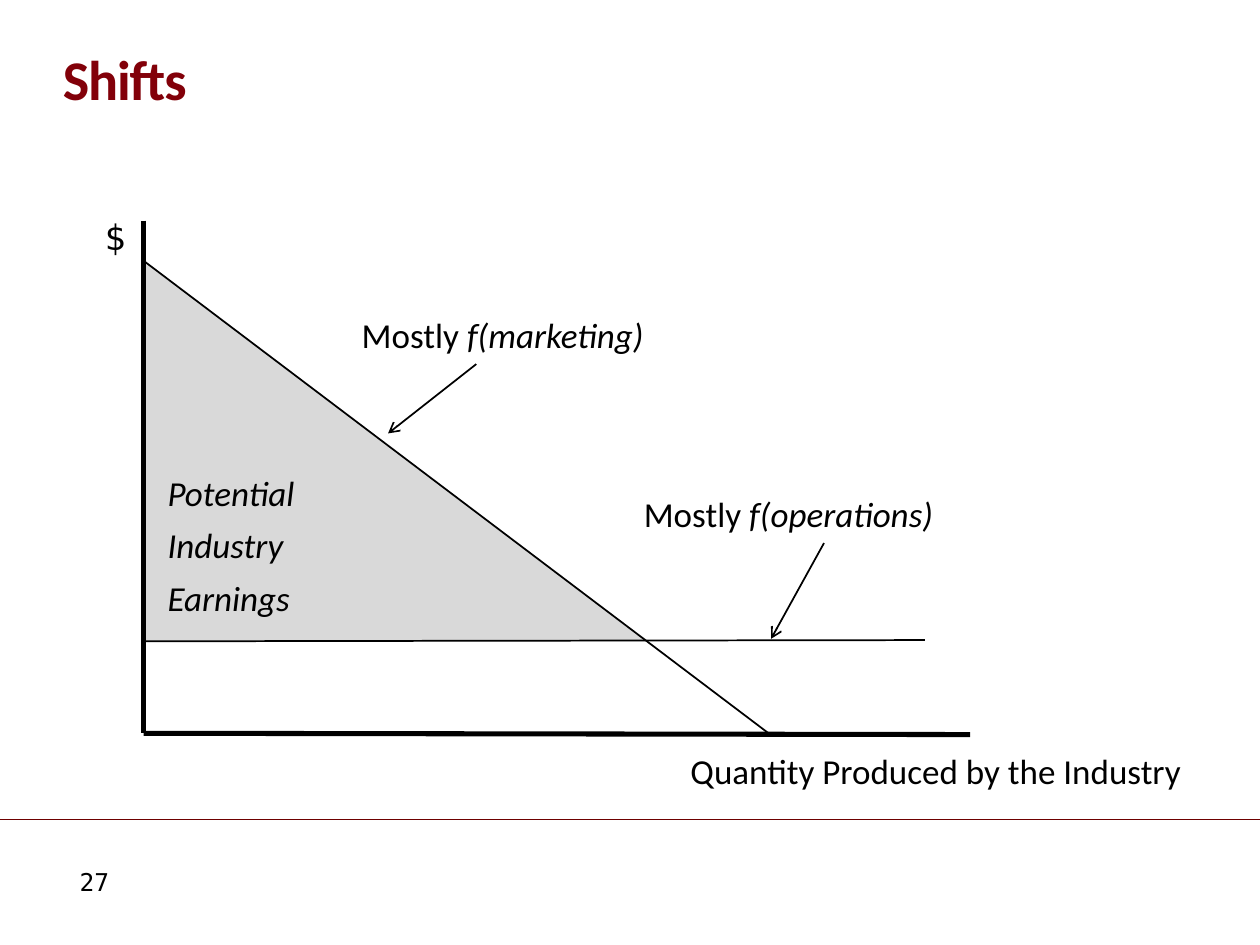
"""Builds a slide on what shifts the demand and cost lines of an industry."""
from lxml import etree
from pptx import Presentation
from pptx.dml.color import RGBColor
from pptx.enum.shapes import MSO_CONNECTOR
from pptx.enum.text import MSO_ANCHOR, PP_ALIGN
from pptx.oxml.ns import qn
from pptx.util import Inches, Pt

STRAIGHT = MSO_CONNECTOR.STRAIGHT
TOP, BOTTOM = MSO_ANCHOR.TOP, MSO_ANCHOR.BOTTOM
LEFT, CENTER = PP_ALIGN.LEFT, PP_ALIGN.CENTER

BLACK = RGBColor(0x00, 0x00, 0x00)
GRAY = RGBColor(0xD9, 0xD9, 0xD9)
CRIMSON = RGBColor(0x82, 0x00, 0x09)
MAROON = RGBColor(0x6E, 0x00, 0x00)
SANS, MONO = "Calibri", "DejaVu Sans Mono"

ORIGIN = (1.14, 5.82)
DEMAND_START, DEMAND_END = (1.14, 2.07), (6.1, 5.82)
COST_START, COST_END = (1.14, 5.09), (7.34, 5.08)
BREAK_EVEN = (5.14, 5.09)


def write(paragraph, text, *, font=SANS, size=20, color=BLACK, bold=False,
          italic=False, tracking=None):
    run = paragraph.add_run()
    run.text = text
    run.font.name = font
    run.font.size = Pt(size)
    run.font.color.rgb = color
    run.font.bold = bold
    run.font.italic = italic
    if tracking is not None:
        run.font._element.set("spc", str(round(tracking * 100)))


class Diagram:
    def __init__(self, slide, color=BLACK, thin=1, thick=2.9):
        self.slide = slide
        self.color = color
        self.thin = thin
        self.thick = thick

    def line(self, start, end, width=None, color=None, arrow=False):
        connector = self.slide.shapes.add_connector(
            STRAIGHT, *(Inches(value) for value in (*start, *end)))
        connector.line.color.rgb = color or self.color
        connector.line.width = Pt(width or self.thin)
        if arrow:
            outline = connector.line._get_or_add_ln()
            etree.SubElement(outline, qn("a:tailEnd"), type="arrow")
        etree.SubElement(connector._element.spPr, qn("a:effectLst"))

    def axis(self, start, end):
        self.line(start, end, width=self.thick)

    def area(self, corners, fill):
        first, *others = [(Inches(x), Inches(y)) for x, y in corners]
        builder = self.slide.shapes.build_freeform(*first)
        builder.add_line_segments(others, close=True)
        region = builder.convert_to_shape()
        region.shadow.inherit = False
        region.fill.solid()
        region.fill.fore_color.rgb = fill
        region.line.fill.background()

    def label(self, place, *paragraphs, align=LEFT, anchor=TOP, wrap=True,
              spacing=None, **style):
        box = self.slide.shapes.add_textbox(*(Inches(value) for value in place))
        frame = box.text_frame
        frame.word_wrap = wrap
        frame.vertical_anchor = anchor
        frame.margin_left = frame.margin_right = 0
        frame.margin_top = frame.margin_bottom = 0
        for index, runs in enumerate(paragraphs):
            paragraph = frame.add_paragraph() if index else frame.paragraphs[0]
            paragraph.alignment = align
            paragraph.line_spacing = spacing
            if index:
                paragraph.space_before = Pt(6)
            for text, extra in runs:
                write(paragraph, text, **{**style, **extra})


def main():
    presentation = Presentation()
    presentation.slide_width = Inches(10)
    presentation.slide_height = Inches(7.5)
    diagram = Diagram(presentation.slides.add_slide(presentation.slide_layouts[6]))

    diagram.line((0, 6.5), (10, 6.5), width=0.25, color=MAROON)
    diagram.label((0.5, 6.88, 0.5, 0.24), [("27", {})], align=CENTER,
                  font=MONO, size=14)
    diagram.label((0.5, 0.29, 9, 0.6), [("Shifts", {})], anchor=BOTTOM,
                  spacing=0.9, size=32, color=CRIMSON, bold=True, tracking=-0.7)

    diagram.area([DEMAND_START, COST_START, BREAK_EVEN], GRAY)
    diagram.axis((1.14, 1.75), ORIGIN)
    diagram.axis(ORIGIN, (7.7, 5.83))
    diagram.line(COST_START, COST_END)
    diagram.line(DEMAND_START, DEMAND_END)

    italic = {"italic": True}
    for place, driver in (((2.87, 2.49, 5.59, 0.34), "f(marketing)"),
                          ((5.11, 3.91, 3.1, 0.34), "f(operations)")):
        diagram.label(place, [("Mostly ", {}), (driver, italic)])
    diagram.label((5.48, 5.95, 4.22, 0.34),
                  [("Quantity Produced by the Industry", {})])
    diagram.label((0.83, 1.71, 0.16, 0.34), [("$", {})], wrap=False, font=MONO)

    diagram.line((6.54, 4.31), (6.12, 5.07), arrow=True)
    diagram.line((3.78, 2.89), (3.08, 3.44), arrow=True)
    earnings = ("Potential", "Industry", "Earnings")
    diagram.label((1.33, 3.74, 1.02, 1.2), *([(word, italic)] for word in earnings),
                  wrap=False)

    presentation.save("out.pptx")


if __name__ == "__main__":
    main()
